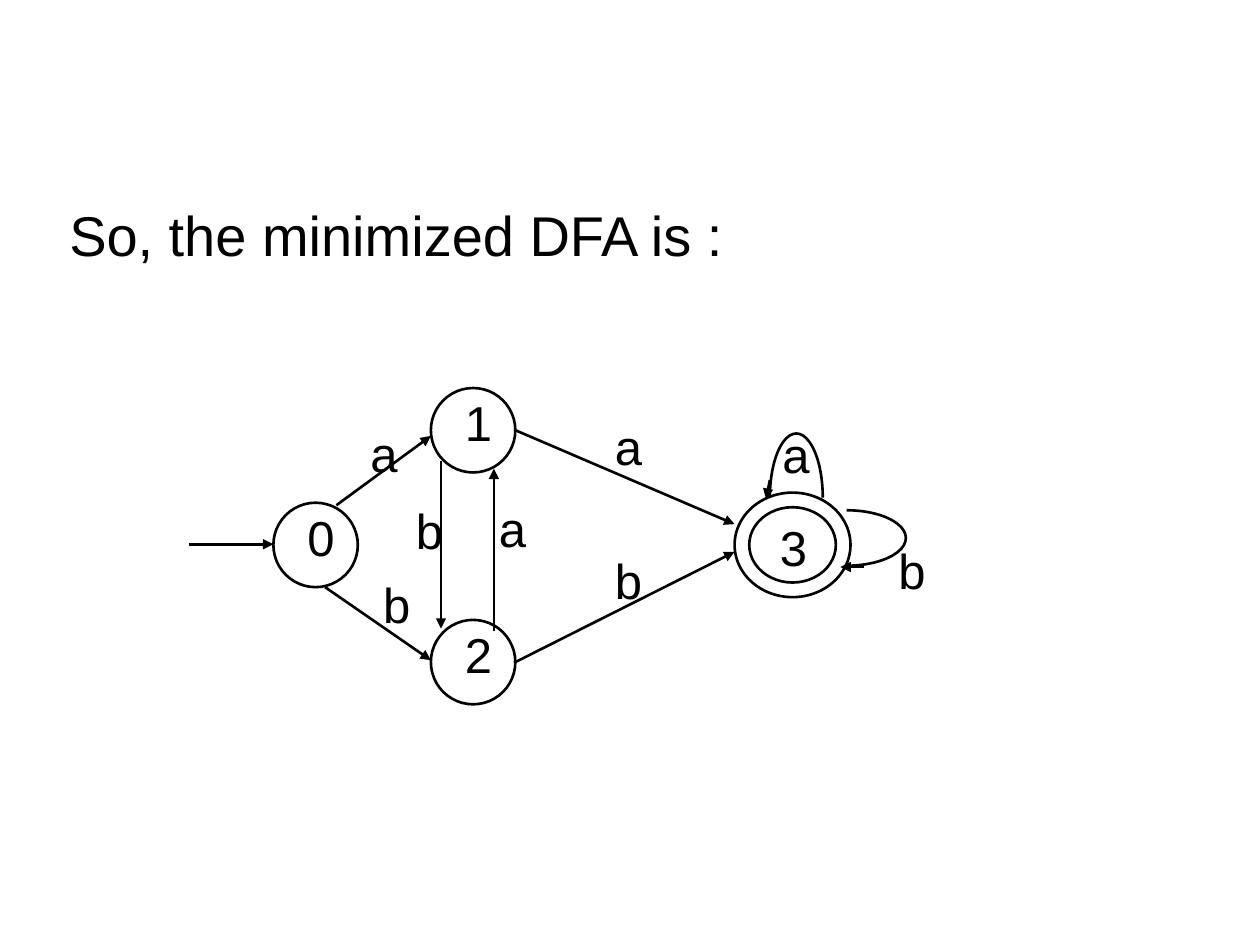
from lxml import etree
from pptx import Presentation
from pptx.dml.color import RGBColor
from pptx.enum.shapes import MSO_CONNECTOR, MSO_SHAPE
from pptx.oxml.ns import qn
from pptx.util import Inches, Pt

ELLIPSE, DONUT, ARC = MSO_SHAPE.OVAL, MSO_SHAPE.DONUT, MSO_SHAPE.ARC
STRAIGHT = MSO_CONNECTOR.STRAIGHT
BLACK = RGBColor(0x00, 0x00, 0x00)
LINE_WIDTH = Pt(1.5)

deck = Presentation()
deck.slide_width, deck.slide_height = Inches(10), Inches(7.5)
page = deck.slides.add_slide(deck.slide_layouts[6])


def add_text(text, left, top, width, height, size, indent, wrap):
    box = page.shapes.add_textbox(
        Inches(left), Inches(top), Inches(width), Inches(height))
    frame = box.text_frame
    frame.word_wrap = wrap
    frame.margin_left = Inches(indent)
    span = frame.paragraphs[0].add_run()
    span.text = text
    span.font.name = "Arial"
    span.font.size = Pt(size)
    span.font.color.rgb = BLACK


def add_outline(kind, left, top, width, height, adjustments=()):
    shape = page.shapes.add_shape(
        kind, Inches(left), Inches(top), Inches(width), Inches(height))
    shape.shadow.inherit = False
    shape.fill.background()
    shape.line.color.rgb = BLACK
    shape.line.width = LINE_WIDTH
    for index, value in enumerate(adjustments):
        shape.adjustments[index] = value


# Heading
add_text("So, the minimized DFA is :", 0.42, 1.54, 9, 0.67, 32, 0.13, True)

# States 0 to 2, and the accepting state 3 with its double ring
for left, top in [(2.17, 3.99), (3.42, 3.08), (3.42, 4.92)]:
    add_outline(ELLIPSE, left, top, 0.67, 0.67)
add_outline(DONUT, 5.83, 3.91, 0.92, 0.83, [0.14])

# Self-loops on state 3: half ellipses, with angles in units of 5/3 degree
add_outline(ARC, 6.11, 3.44, 0.42, 1.02, [180 * 0.6, 0])
add_outline(ARC, 6.25, 4.05, 0.94, 0.44, [270 * 0.6, 90 * 0.6])

# Transition arrows
arrows = [
    (1.5, 4.32, 2.17, 4.32),   # start to 0
    (2.67, 4.01, 3.42, 3.46),  # 0 to 1
    (2.58, 4.66, 3.42, 5.24),  # 0 to 2
    (3.5, 3.66, 3.5, 4.99),    # 1 to 2
    (3.92, 5.01, 3.92, 3.72),  # 2 to 1
    (4.08, 3.41, 5.83, 4.16),  # 1 to 3
    (4.08, 5.26, 5.83, 4.38),  # 2 to 3
    (6.11, 3.81, 6.08, 3.96),  # end of the upper loop
    (6.86, 4.5, 6.67, 4.5),    # end of the right loop
]
for ends in arrows:
    arrow = page.shapes.add_connector(STRAIGHT, *[Inches(end) for end in ends])
    arrow.line.color.rgb = BLACK
    arrow.line.width = LINE_WIDTH
    etree.SubElement(arrow.line._get_or_add_ln(), qn("a:tailEnd"), type="triangle")
    etree.SubElement(arrow._element.spPr, qn("a:effectLst"))

# State numbers and transition letters
labels = [
    ("0", 2.23, 3.98), ("1", 3.48, 3.07), ("2", 3.48, 4.91), ("3", 5.98, 4.06),
    ("a", 2.73, 3.31), ("b", 2.83, 4.51), ("b", 3.09, 3.92), ("a", 3.75, 3.91),
    ("a", 4.67, 3.26), ("b", 4.67, 4.32), ("a", 6, 3.32), ("b", 6.92, 4.24),
]
for text, left, top in labels:
    add_text(text, left, top, 0.52, 0.57, 28, 0.21, False)

deck.save("out.pptx")
